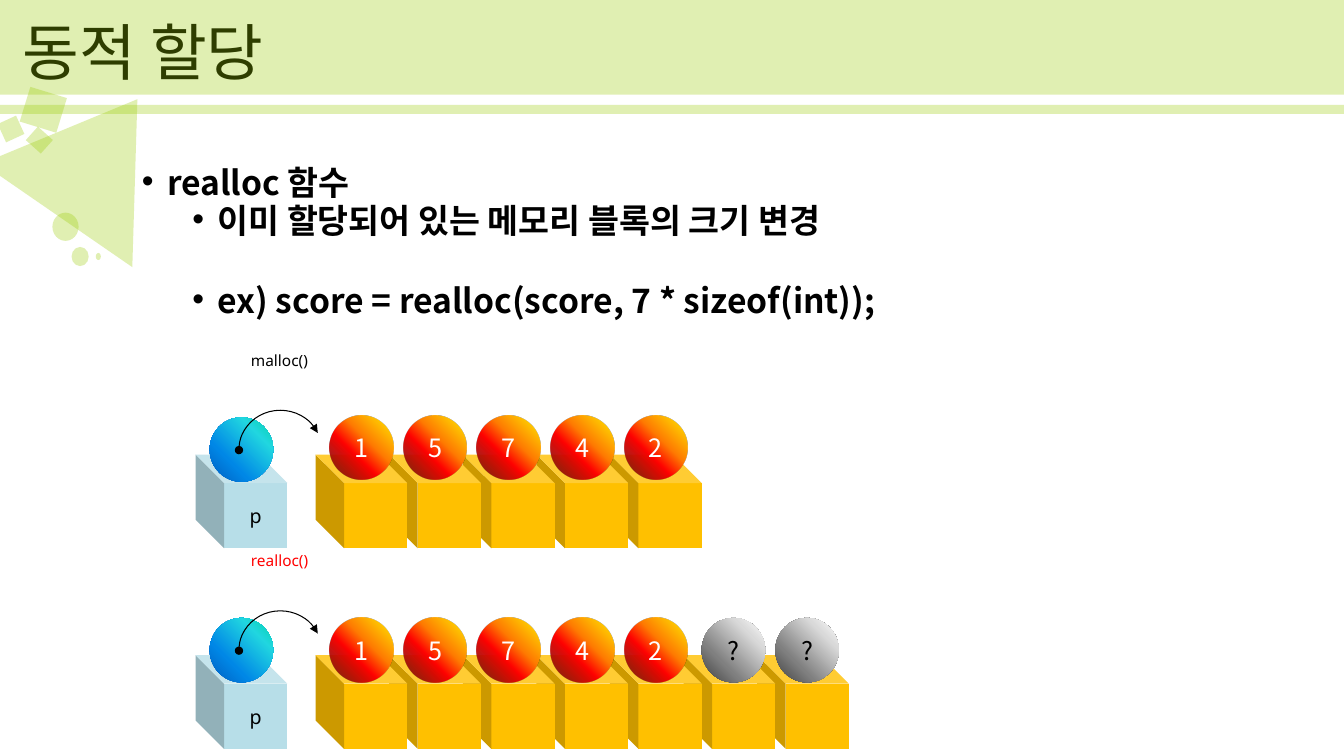
from dataclasses import dataclass

import pptx
import pptx.dml.color
import pptx.enum.shapes
import pptx.enum.text
import pptx.oxml
import pptx.oxml.ns
import pptx.util
from lxml import etree

Inches = pptx.util.Inches
Pt = pptx.util.Pt
RGBColor = pptx.dml.color.RGBColor
Kind = pptx.enum.shapes.MSO_SHAPE
Anchor = pptx.enum.text.MSO_ANCHOR
Align = pptx.enum.text.PP_ALIGN
qn = pptx.oxml.ns.qn

BLACK = RGBColor(0x00, 0x00, 0x00)
WHITE = RGBColor(0xFF, 0xFF, 0xFF)
RED = RGBColor(0xFF, 0x00, 0x00)
LIME = RGBColor(0x99, 0xCC, 0x00)
AMBER = RGBColor(0xFF, 0xC0, 0x00)
PALE_BLUE = RGBColor(0xB7, 0xDE, 0xE8)
SANS, KOREAN = "Noto Sans", "Noto Sans CJK KR"

# Gradient stops: position %, colour, opacity %
Stops = list[tuple[int, RGBColor, int]]
BLUE_BALL: Stops = [
    (0, RGBColor(0x03, 0xD4, 0xA8), 100), (25, RGBColor(0x21, 0xD6, 0xE0), 100),
    (68, RGBColor(0x00, 0x87, 0xE6), 100), (100, RGBColor(0x00, 0x5C, 0xBF), 100)]
FIRE_BALL: Stops = [
    (0, RGBColor(0xFF, 0xF2, 0x00), 100), (40, RGBColor(0xFF, 0x7A, 0x00), 100),
    (60, RGBColor(0xFF, 0x03, 0x00), 100), (100, RGBColor(0x4D, 0x08, 0x08), 80)]
GREY_BALL: Stops = [
    (0, WHITE, 100), (25, RGBColor(0xD9, 0xD9, 0xD9), 100),
    (68, RGBColor(0x80, 0x80, 0x80), 100), (100, RGBColor(0x40, 0x40, 0x40), 100)]

PITCH = 0.73


@dataclass
class Decor:
    kind: Kind
    x: float
    y: float
    w: float
    h: float
    turn: float = 0


@dataclass
class Bullet:
    text: str
    indent: float
    before: float


@dataclass
class MemoryRow:
    label: str
    color: RGBColor
    cube_top: float
    ball_top: float
    values: str


DECORS = [
    Decor(Kind.RECTANGLE, 0, 0, 13.33, 0.94),
    Decor(Kind.RECTANGLE, 0, 1.04, 13.33, 0.09),
    Decor(Kind.ISOSCELES_TRIANGLE, 0.06, 0.86, 1.81, 1.4, 34.6),
    Decor(Kind.RECTANGLE, 0.24, 0.91, 0.38, 0.36, 17.1),
    Decor(Kind.RECTANGLE, 0.29, 1.3, 0.2, 0.18, 41.8),
    Decor(Kind.RECTANGLE, 0.01, 1.18, 0.2, 0.2, 335.3),
    Decor(Kind.OVAL, 0.95, 2.51, 0.05, 0.07),
    Decor(Kind.OVAL, 0.71, 2.45, 0.17, 0.19),
    Decor(Kind.OVAL, 0.52, 2.11, 0.26, 0.28),
]
BULLETS = [
    Bullet("realloc 함수", 0.25, 0),
    Bullet("이미 할당되어 있는 메모리 블록의 크기 변경", 0.75, 5),
    Bullet("ex) score = realloc(score, 7 * sizeof(int));", 0.75, 35),
]
ROWS = [
    MemoryRow("realloc()", RED, 6.5, 6.13, "15742??"),
    MemoryRow("malloc()", BLACK, 4.51, 4.12, "15742"),
]


def style(p, size: float, font: str, color: RGBColor, bold: bool = False) -> None:
    for r in p.runs:
        r.font.size, r.font.name, r.font.bold = Pt(size), font, bold
        r.font.color.rgb = color
        ea = etree.SubElement(r.font._element, qn("a:ea"))
        ea.set("typeface", font)


def add_shape(slide, kind: Kind, x: float, y: float, w: float, h: float):
    sp = slide.shapes.add_shape(kind, Inches(x), Inches(y), Inches(w), Inches(h))
    sp.shadow.inherit = False
    sp.line.fill.background()
    return sp


def add_text(slide, x: float, y: float, w: float, h: float):
    tf = slide.shapes.add_textbox(Inches(x), Inches(y), Inches(w), Inches(h)).text_frame
    tf.word_wrap = True
    return tf


def center_text(sp, text: str, size: float, font: str, color: RGBColor) -> None:
    tf = sp.text_frame
    tf.text = text
    tf.vertical_anchor = Anchor.MIDDLE
    tf.paragraphs[0].alignment = Align.CENTER
    style(tf.paragraphs[0], size, font, color)


def add_decor(slide, d: Decor) -> None:
    sp = add_shape(slide, d.kind, d.x, d.y, d.w, d.h)
    sp.rotation = d.turn
    sp.fill.solid()
    sp.fill.fore_color.rgb = LIME
    color = sp._element.spPr.find(qn("a:solidFill"))[0]
    etree.SubElement(color, qn("a:alpha")).set("val", "30000")


def add_cube(slide, x: float, y: float, color: RGBColor):
    sp = add_shape(slide, Kind.CUBE, x, y, 0.91, 0.93)
    sp.adjustments[0] = 0.311
    sp._element.spPr.find(qn("a:xfrm")).set("flipH", "1")
    sp.fill.solid()
    sp.fill.fore_color.rgb = color
    return sp


def add_ball(slide, x: float, y: float, stops: Stops):
    """Ball whose gradient spreads from the top right corner."""
    sp = add_shape(slide, Kind.OVAL, x, y, 0.63, 0.64)
    gs = "".join(
        f'<a:gs pos="{pos * 1000}"><a:srgbClr val="{color}">'
        f'<a:alpha val="{alpha * 1000}"/></a:srgbClr></a:gs>'
        for pos, color, alpha in stops)
    grad = pptx.oxml.parse_xml(
        f'<a:gradFill {pptx.oxml.ns.nsdecls("a")} rotWithShape="1"><a:gsLst>{gs}</a:gsLst>'
        '<a:path path="circle"><a:fillToRect l="100000" b="100000"/></a:path></a:gradFill>')
    sp._element.spPr.find(qn("a:prstGeom")).addnext(grad)
    return sp


def add_pointer_arc(slide, x: float, y: float) -> None:
    sp = add_shape(slide, Kind.ARC, x, y, 0.82, 0.78)
    sp.adjustments[0], sp.adjustments[1] = 107.54, 201.67
    sp.fill.background()
    sp.line.color.rgb = BLACK
    sp.line.width = Pt(0.75)
    ln = sp._element.spPr.find(qn("a:ln"))
    etree.SubElement(ln, qn("a:headEnd")).set("type", "oval")
    etree.SubElement(ln, qn("a:tailEnd")).set("type", "triangle")


def add_memory_row(slide, row: MemoryRow) -> None:
    # Blocks, right to left so that each overlaps the next
    for i in reversed(range(len(row.values))):
        add_cube(slide, 3.13 + PITCH * i, row.cube_top, AMBER)

    # Pointer
    center_text(add_cube(slide, 1.94, row.cube_top, PALE_BLUE), "p", 14, SANS, BLACK)
    add_ball(slide, 2.08, row.cube_top - 0.37, BLUE_BALL)
    add_pointer_arc(slide, 2.37, row.cube_top - 0.44)
    tf = add_text(slide, 2.39, row.cube_top - 1.08, 1.5, 0.54)
    tf.text = row.label
    style(tf.paragraphs[0], 11, SANS, row.color)

    # Values, with unset ones in grey and a little further right
    for i, value in enumerate(row.values):
        unset = value == "?"
        x = 3.27 + PITCH * i + (0.04 if unset else 0)
        ball = add_ball(slide, x, row.ball_top, GREY_BALL if unset else FIRE_BALL)
        center_text(ball, value, 18, KOREAN, BLACK if unset else WHITE)


def add_bullets(slide) -> None:
    tf = add_text(slide, 1.31, 1.64, 11.39, 5.18)
    for i, b in enumerate(BULLETS):
        p = tf.add_paragraph() if i else tf.paragraphs[0]
        p.text = b.text
        p.line_spacing = 0.77
        p.space_before = Pt(b.before)
        pPr = p._p.get_or_add_pPr()
        pPr.set("marL", str(Inches(b.indent)))
        pPr.set("indent", str(Inches(-0.25)))
        etree.SubElement(pPr, qn("a:buFont")).set("typeface", "Arial")
        etree.SubElement(pPr, qn("a:buChar")).set("char", "•")
        style(p, 24, KOREAN, BLACK, bold=True)


def main() -> None:
    prs = pptx.Presentation()
    prs.slide_width, prs.slide_height = Inches(13.33), Inches(7.5)
    slide = prs.slides.add_slide(prs.slide_layouts[6])

    # Title, under the translucent band
    tf = add_text(slide, 0.13, -0.17, 11.5, 1.45)
    tf.text = "동적 할당"
    tf.vertical_anchor = Anchor.MIDDLE
    tf.paragraphs[0].line_spacing = 0.9
    style(tf.paragraphs[0], 44, KOREAN, BLACK)

    for decor in DECORS:
        add_decor(slide, decor)
    add_bullets(slide)
    for row in ROWS:
        add_memory_row(slide, row)
    prs.save("out.pptx")


if __name__ == "__main__":
    main()
